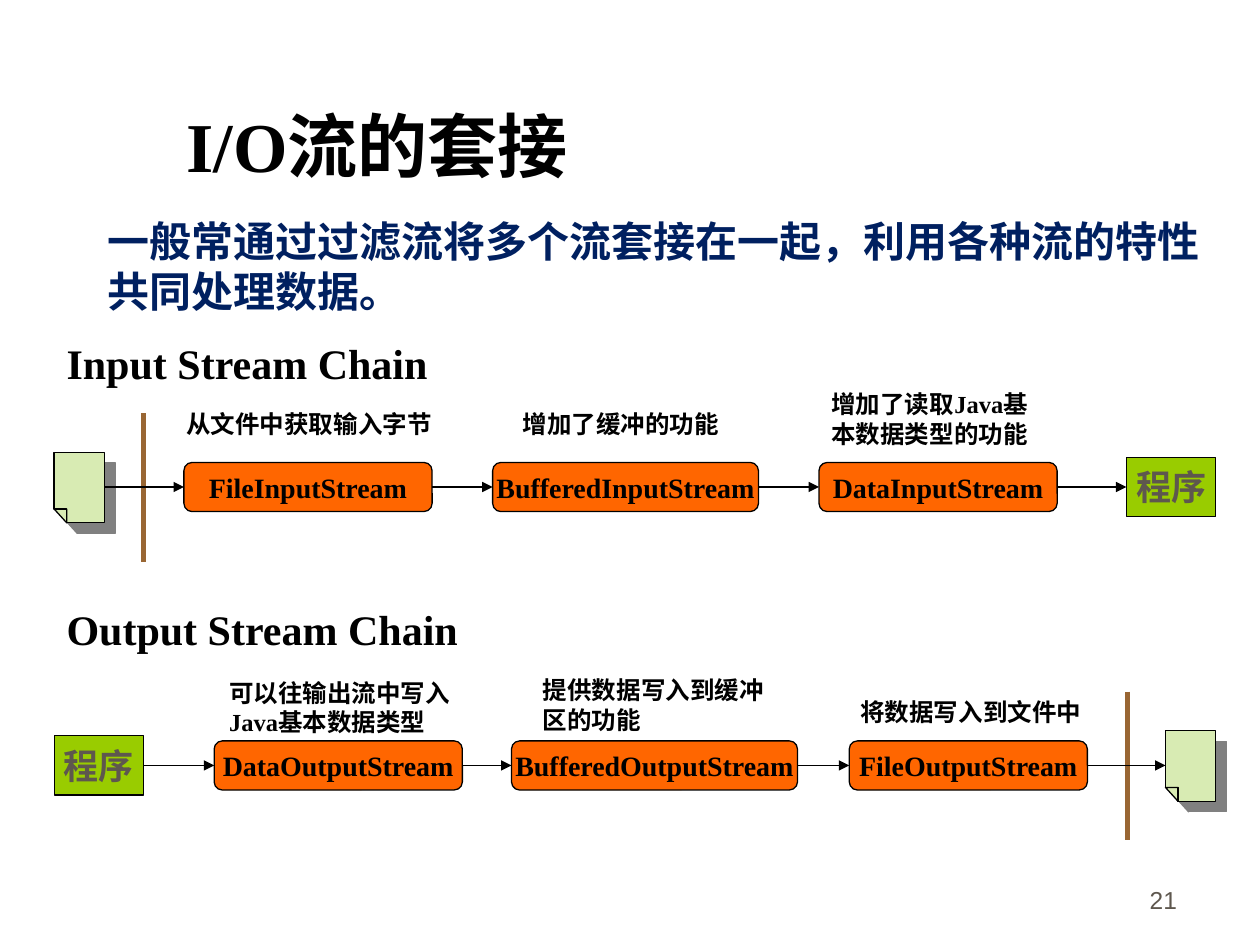
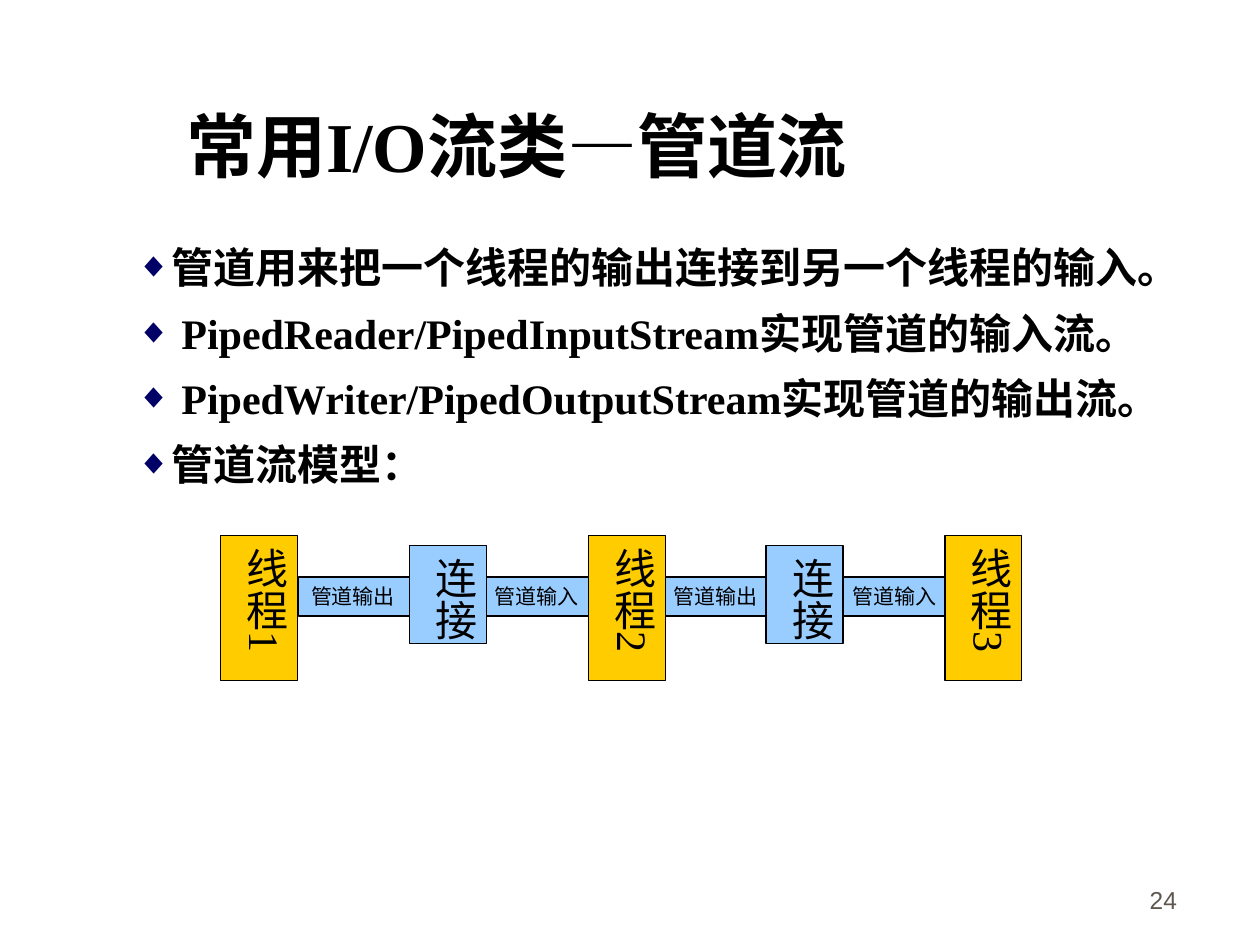
"""Build two slides on chaining I/O streams and on pipe streams."""
from lxml import etree
from pptx import Presentation
from pptx.dml.color import RGBColor
from pptx.enum.shapes import MSO_CONNECTOR as CONN, MSO_SHAPE as SHAPE
from pptx.enum.text import MSO_ANCHOR as ANCHOR, MSO_AUTO_SIZE as AUTO, PP_ALIGN as ALIGN
from pptx.oxml import parse_xml
from pptx.oxml.ns import nsdecls, qn
from pptx.util import Inches, Pt

SERIF, BLACK, GREY, NAVY = "Times New Roman", "000000", "5E574E", "002060"
ORANGE, GREEN, PAGE, BROWN = "FF6600", "99CC00", "D8EBB3", "996633"
YELLOW, BLUE, BULLET, SHADE = "FFCC00", "99CCFF", "000066", "808080"


def write(p, text, size, colour=BLACK, bold=True, font=SERIF, align=ALIGN.LEFT):
    p.alignment = align
    p.space_before = Pt(0)
    r = p.add_run()
    r.text = text
    r.font.size, r.font.bold, r.font.name = Pt(size), bold, font
    r.font.color.rgb = RGBColor.from_string(colour)


def paint(sp, line, fill=None, width=0.75):
    sp.line.color.rgb = RGBColor.from_string(line)
    sp.line.width = Pt(width)
    if fill:
        sp.fill.solid()
        sp.fill.fore_color.rgb = RGBColor.from_string(fill)
        sp.shadow.inherit = False
    else:
        etree.SubElement(sp._element.spPr, qn("a:effectLst"))


prs = Presentation()
prs.slide_width, prs.slide_height = Inches(10), Inches(7.5)

pages = [
    ("I/O流的套接", "21", (0.75, 1.66, 8.94, 0.91)),
    ("常用I/O流类—管道流", "24", (0.98, 1.75, 8.74, 2.18)),
]
slides = []
for title, number, body_at in pages:
    s = prs.slides.add_slide(prs.slide_layouts[1])
    body = s.placeholders[1]
    for sp, at in ((s.shapes.title, (1.38, 0.76, 6.62, 0.77)), (body, body_at)):
        sp.left, sp.top, sp.width, sp.height = map(Inches, at)
        sp.text_frame.auto_size = AUTO.NONE
        sp.text_frame.vertical_anchor = ANCHOR.TOP
    write(s.shapes.title.text_frame.paragraphs[0], title, 40)
    tf = s.shapes.add_textbox(*map(Inches, (7.36, 6.81, 2.08, 0.5))).text_frame
    tf.word_wrap = True
    tf.vertical_anchor = ANCHOR.BOTTOM
    write(tf.paragraphs[0], number, 14, GREY, False, "Arial", ALIGN.RIGHT)
    slides.append((s, body.text_frame))

s, tf = slides[0]
p = tf.paragraphs[0]
pPr = p._p.get_or_add_pPr()
pPr.set("marL", "0")
pPr.set("indent", "0")
etree.SubElement(pPr, qn("a:buNone"))
write(p, "一般常通过过滤流将多个流套接在一起，利用各种流的特性共同处理数据。", 24, NAVY)

chains = [
    ("Input Stream Chain", 2.63, 3.67, 0.43, 1.14, 8.94, [
        ("FileInputStream", 1.46, 1.97, "从文件中获取输入字节", (1.38, 3.2, 2.2, 0.33)),
        ("BufferedInputStream", 3.91, 2.11, "增加了缓冲的功能", (4.05, 3.2, 1.81, 0.33)),
        ("DataInputStream", 6.5, 1.89, "增加了读取Java基本数据类型的功能", (6.5, 3.04, 1.89, 0.57)),
    ]),
    ("Output Stream Chain", 4.74, 5.88, 9.25, 8.95, 0.43, [
        ("DataOutputStream", 1.7, 1.97, "可以往输出流中写入Java基本数据类型", (1.72, 5.33, 2.05, 0.57)),
        ("BufferedOutputStream", 4.06, 2.27, "提供数据写入到缓冲区的功能", (4.21, 5.31, 2.05, 0.57)),
        ("FileOutputStream", 6.74, 1.89, "将数据写入到文件中", (6.73, 5.48, 2.05, 0.33)),
    ]),
]
for heading, heading_y, top, page_x, wall_x, program_x, streams in chains:
    reading = page_x < program_x
    labels = [(heading, 24, (0.43, heading_y, 3.47, 0.5))]
    labels += [(caption, 14, at) for _, _, _, caption, at in streams]
    for text, size, at in labels:
        tf = s.shapes.add_textbox(*map(Inches, at)).text_frame
        tf.word_wrap = True
        write(tf.paragraphs[0], text, size)

    parts = [(SHAPE.ROUNDED_RECTANGLE, name, x, top, w, 0.39, ORANGE, 16, BLACK)
             for name, x, w, _, _ in streams]
    program = (SHAPE.RECTANGLE, "程序", program_x, top - 0.04, 0.71, 0.47, GREEN, 20, GREY)
    parts.insert(3 if reading else 0, program)
    boxes = []
    for kind, text, x, y, w, h, fill, size, colour in parts:
        sp = s.shapes.add_shape(kind, *map(Inches, (x, y, w, h)))
        paint(sp, BLACK, fill)
        sp.text_frame.word_wrap = False
        sp.text_frame.vertical_anchor = ANCHOR.MIDDLE
        write(sp.text_frame.paragraphs[0], text, size, colour, align=ALIGN.CENTER)
        boxes.append(sp)

    fb = s.shapes.build_freeform(0, 45, scale=Inches(0.01))
    fb.add_line_segments([(0, 0), (40, 0), (40, 56), (10, 56), (10, 45)])
    fb.move_to(0, 45)
    fb.add_line_segments([(10, 45), (10, 56)])
    page = fb.convert_to_shape(Inches(page_x), Inches(top - 0.08))
    paint(page, BLACK, PAGE)
    page._element.spPr.find(qn("a:effectLst")).append(parse_xml(
        f'<a:outerShdw {nsdecls("a")} dist="{Pt(8.5)}" dir="2700000" algn="ctr" rotWithShape="0">'
        f'<a:srgbClr val="{SHADE}"/></a:outerShdw>'))

    wall = s.shapes.add_connector(
        CONN.STRAIGHT, *map(Inches, (wall_x, top - 0.39, wall_x, top + 0.79)))
    paint(wall, BROWN, width=3)

    edge, mid = Inches(page_x + (0.4 if reading else 0)), Inches(top + 0.195)
    links = list(zip(boxes, boxes[1:]))
    links.append((None, boxes[0]) if reading else (boxes[-1], None))
    for start, end in links:
        arrow = s.shapes.add_connector(CONN.STRAIGHT, edge, mid, edge, mid)
        if start:
            arrow.begin_connect(start, 3)
        if end:
            arrow.end_connect(end, 1)
        paint(arrow, BLACK)
        etree.SubElement(arrow.line._get_or_add_ln(), qn("a:tailEnd"), type="triangle")

s, tf = slides[1]
points = [
    ("管道用来把一个线程的输出连接到另一个线程的输入。", 0.28),
    ("PipedReader/PipedInputStream实现管道的输入流。", 0.36),
    ("PipedWriter/PipedOutputStream实现管道的输出流。", 0.36),
    ("管道流模型：", 0.28),
]
for i, (text, indent) in enumerate(points):
    p = tf.add_paragraph() if i else tf.paragraphs[0]
    pPr = p._p.get_or_add_pPr()
    pPr.set("marL", str(Inches(indent)))
    pPr.set("indent", str(-Inches(indent)))
    colour = etree.SubElement(pPr, qn("a:buClr"))
    etree.SubElement(colour, qn("a:srgbClr"), val=BULLET)
    etree.SubElement(pPr, qn("a:buSzPct"), val="83000")
    etree.SubElement(pPr, qn("a:buFont"), typeface=SERIF)
    etree.SubElement(pPr, qn("a:buChar"), char="◆")
    p.line_spacing = 1.3
    write(p, text, 24)

pipes = [(text, x, 4.58, 0.88, 0.31, BLUE, 12) for text, x in
         (("管道输出", 2.37), ("管道输入", 3.83), ("管道输出", 5.25), ("管道输入", 6.67))]
joints = [("连接", x, 4.33, 0.61, 0.78, BLUE, 24) for x in (3.25, 6.08)]
threads = [(f"线程{n}", x, 4.25, 0.61, 1.15, YELLOW, 24)
           for n, x in enumerate((1.75, 4.67, 7.5), 1)]
model = s.shapes.add_group_shape()
for text, x, y, w, h, fill, size in pipes + joints + threads:
    sp = model.shapes.add_shape(SHAPE.RECTANGLE, *map(Inches, (x, y, w, h)))
    paint(sp, BLACK, fill)
    tf = sp.text_frame
    tf.word_wrap = False
    tf.vertical_anchor = ANCHOR.TOP
    if size == 24:
        tf._txBody.bodyPr.set("vert", "eaVert")
    write(tf.paragraphs[0], text, size, bold=False)

prs.save("out.pptx")
